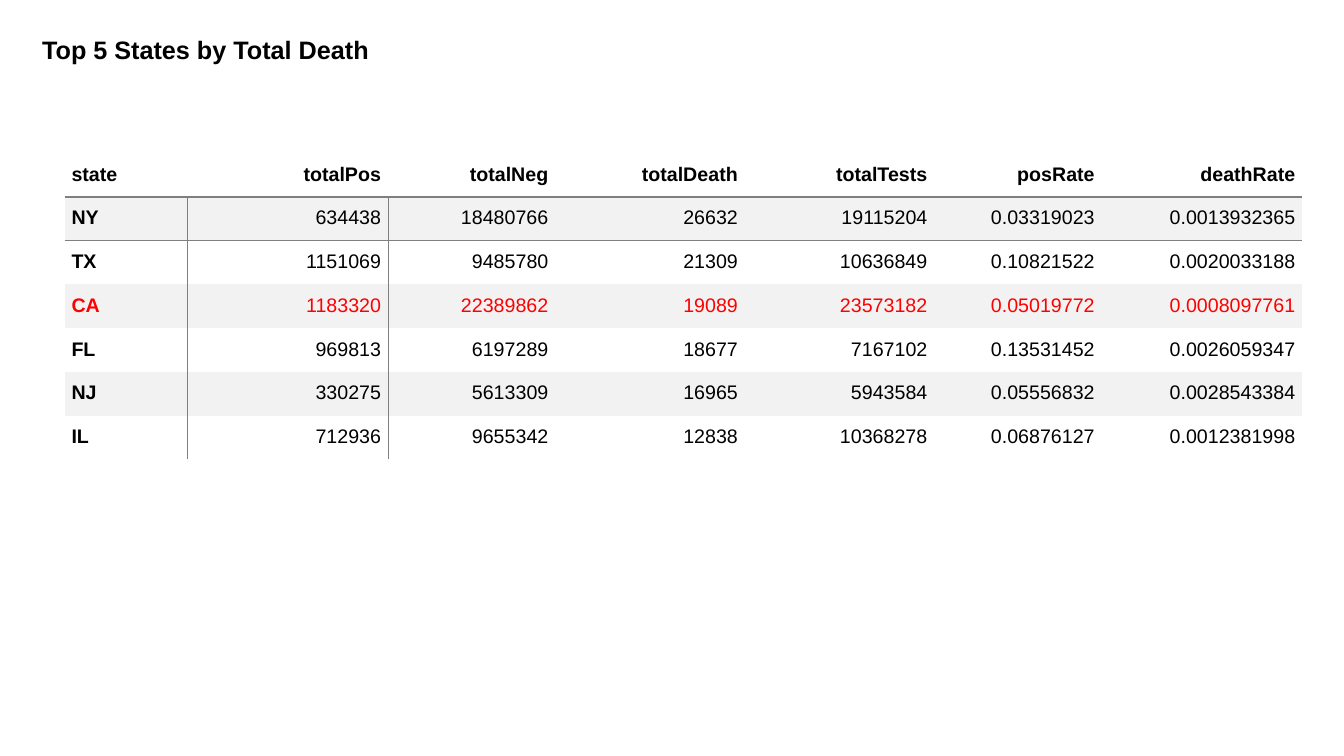
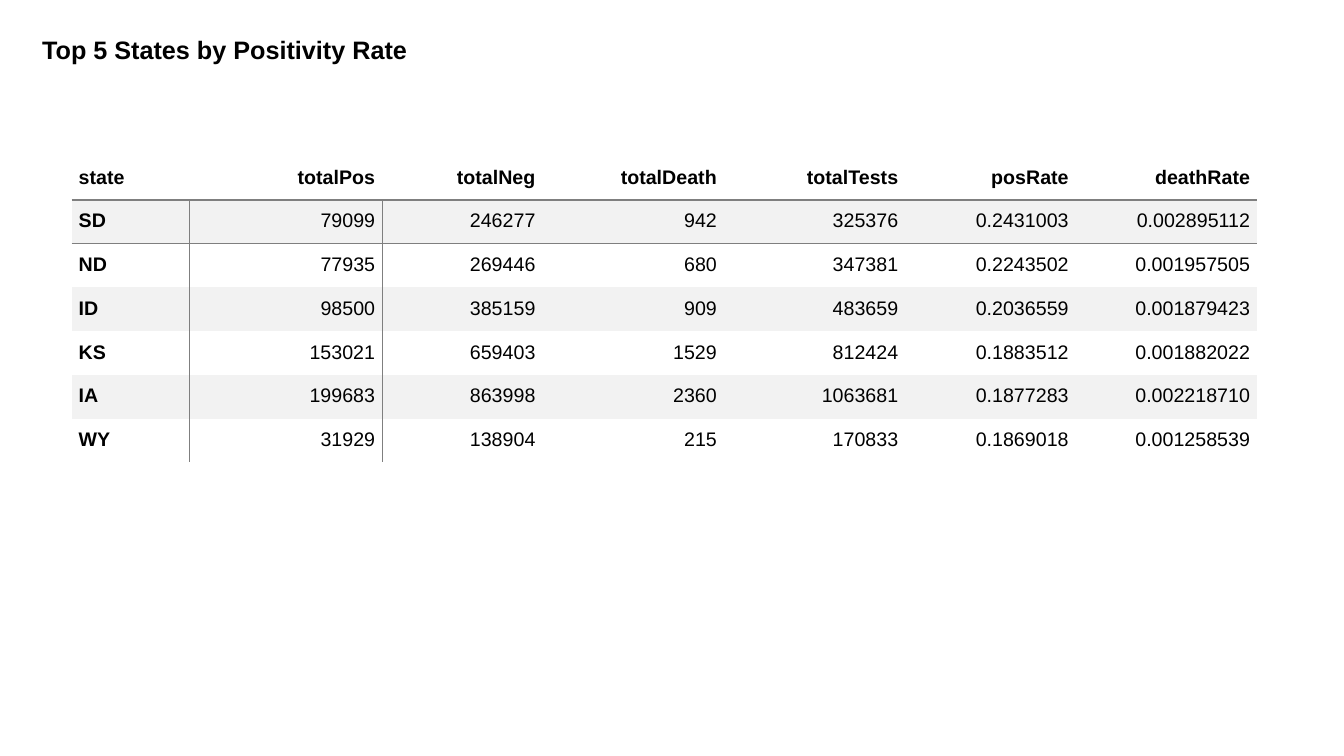
"""Build two slides that rank states by total deaths and by positivity rate."""
from lxml.etree import SubElement
from pptx import Presentation
from pptx.dml.color import RGBColor
from pptx.enum.text import MSO_ANCHOR as ANCHOR, PP_ALIGN as ALIGN
from pptx.oxml.ns import qn
from pptx.util import Inches, Pt

BLACK = RGBColor(0x00, 0x00, 0x00)
RED = RGBColor(0xFF, 0x00, 0x00)
GRAY = RGBColor(0x7F, 0x7F, 0x7F)
BAND = RGBColor(0xF2, 0xF2, 0xF2)

NO_GRID = "{2D5ABB26-0587-4C30-8999-92F81FD0307C}"
TITLE_FONT = {"name": "Arial", "size": Pt(18), "bold": True}
CELL_FONT = {"name": "Arial", "size": Pt(14)}
TITLE_FRAME = {
    "word_wrap": True, "vertical_anchor": ANCHOR.MIDDLE,
    "margin_left": Inches(0.1), "margin_right": Inches(0.1),
    "margin_top": Inches(0.1), "margin_bottom": Inches(0.1),
}
CELL_BOX = {
    "margin_left": Inches(0.07), "margin_right": Inches(0.07),
    "margin_top": Inches(0.1), "margin_bottom": Inches(0.1),
}

HEADER = ["state", "totalPos", "totalNeg", "totalDeath", "totalTests", "posRate", "deathRate"]
BY_DEATH = [
    ["NY", "634438", "18480766", "26632", "19115204", "0.03319023", "0.0013932365"],
    ["TX", "1151069", "9485780", "21309", "10636849", "0.10821522", "0.0020033188"],
    ["CA", "1183320", "22389862", "19089", "23573182", "0.05019772", "0.0008097761"],
    ["FL", "969813", "6197289", "18677", "7167102", "0.13531452", "0.0026059347"],
    ["NJ", "330275", "5613309", "16965", "5943584", "0.05556832", "0.0028543384"],
    ["IL", "712936", "9655342", "12838", "10368278", "0.06876127", "0.0012381998"],
]
BY_RATE = [
    ["SD", "79099", "246277", "942", "325376", "0.2431003", "0.002895112"],
    ["ND", "77935", "269446", "680", "347381", "0.2243502", "0.001957505"],
    ["ID", "98500", "385159", "909", "483659", "0.2036559", "0.001879423"],
    ["KS", "153021", "659403", "1529", "812424", "0.1883512", "0.001882022"],
    ["IA", "199683", "863998", "2360", "1063681", "0.1877283", "0.002218710"],
    ["WY", "31929", "138904", "215", "170833", "0.1869018", "0.001258539"],
]


def apply(target, values):
    for name, value in values.items():
        setattr(target, name, value)


class Deck:
    """Hold the style and the current slide; lengths are percent of the slide."""

    def __init__(self):
        self.prs = Presentation()
        self.prs.slide_width = Inches(13.33)
        self.prs.slide_height = Inches(7.5)
        self.s = None

    def x(self, percent):
        return int(self.prs.slide_width * percent / 100)

    def y(self, percent):
        return int(self.prs.slide_height * percent / 100)

    def slide(self, title):
        self.s = self.prs.slides.add_slide(self.prs.slide_layouts[6])
        self.title(title)

    def run(self, p, text, values, color=BLACK):
        r = p.add_run()
        r.text = text
        apply(r.font, values)
        r.font.color.rgb = color

    def title(self, text):
        sp = self.s.shapes.add_textbox(self.x(2.4), self.y(1.9), self.x(38.4), self.y(8.67))
        tf = sp.text_frame
        apply(tf, TITLE_FRAME)
        p = tf.paragraphs[0]
        p.line_spacing = 1.15
        self.run(p, text, TITLE_FONT)

    def border(self, cell, side):
        ln = SubElement(cell._tc.get_or_add_tcPr(), qn(f"a:{side}"), w=str(Pt(1)))
        fill = SubElement(ln, qn("a:solidFill"))
        SubElement(fill, qn("a:srgbClr"), val=str(GRAY))

    def cell(self, cell, text, row, col, color):
        apply(cell, CELL_BOX)
        p = cell.text_frame.paragraphs[0]
        p.alignment = ALIGN.RIGHT if col else ALIGN.LEFT
        self.run(p, text, {**CELL_FONT, "bold": row == 0 or col == 0}, color)
        if row and col < 2:
            self.border(cell, "lnR")
        if row < 2:
            self.border(cell, "lnB")
        if row % 2:
            cell.fill.solid()
            cell.fill.fore_color.rgb = BAND
        else:
            cell.fill.background()

    def table(self, left, top, widths, states, highlight=None):
        rows = [HEADER, *states]
        row_height = 5.6
        frame = self.s.shapes.add_table(
            len(rows), len(widths), self.x(left), self.y(top),
            self.x(sum(widths)), self.y(row_height * len(rows)))
        tbl = frame.table
        tbl._tbl.tblPr.find(qn("a:tableStyleId")).text = NO_GRID
        apply(tbl, {"first_row": False, "horz_banding": False})
        for column, width in zip(tbl.columns, widths):
            column.width = self.x(width)
        for i, values in enumerate(rows):
            tbl.rows[i].height = self.y(row_height)
            color = RED if values[0] == highlight else BLACK
            for j, text in enumerate(values):
                self.cell(tbl.cell(i, j), text, i, j, color)


def main():
    deck = Deck()
    deck.slide("Top 5 States by Total Death")
    deck.table(4.8, 20.27, [9.15, 14.93, 12.45, 14.1, 14.1, 12.45, 14.93], BY_DEATH, "CA")
    deck.slide("Top 5 States by Positivity Rate")
    deck.table(5.33, 20.67, [8.78, 14.33, 11.93, 13.5, 13.5, 12.68, 13.5], BY_RATE)
    deck.prs.save("out.pptx")


if __name__ == "__main__":
    main()
